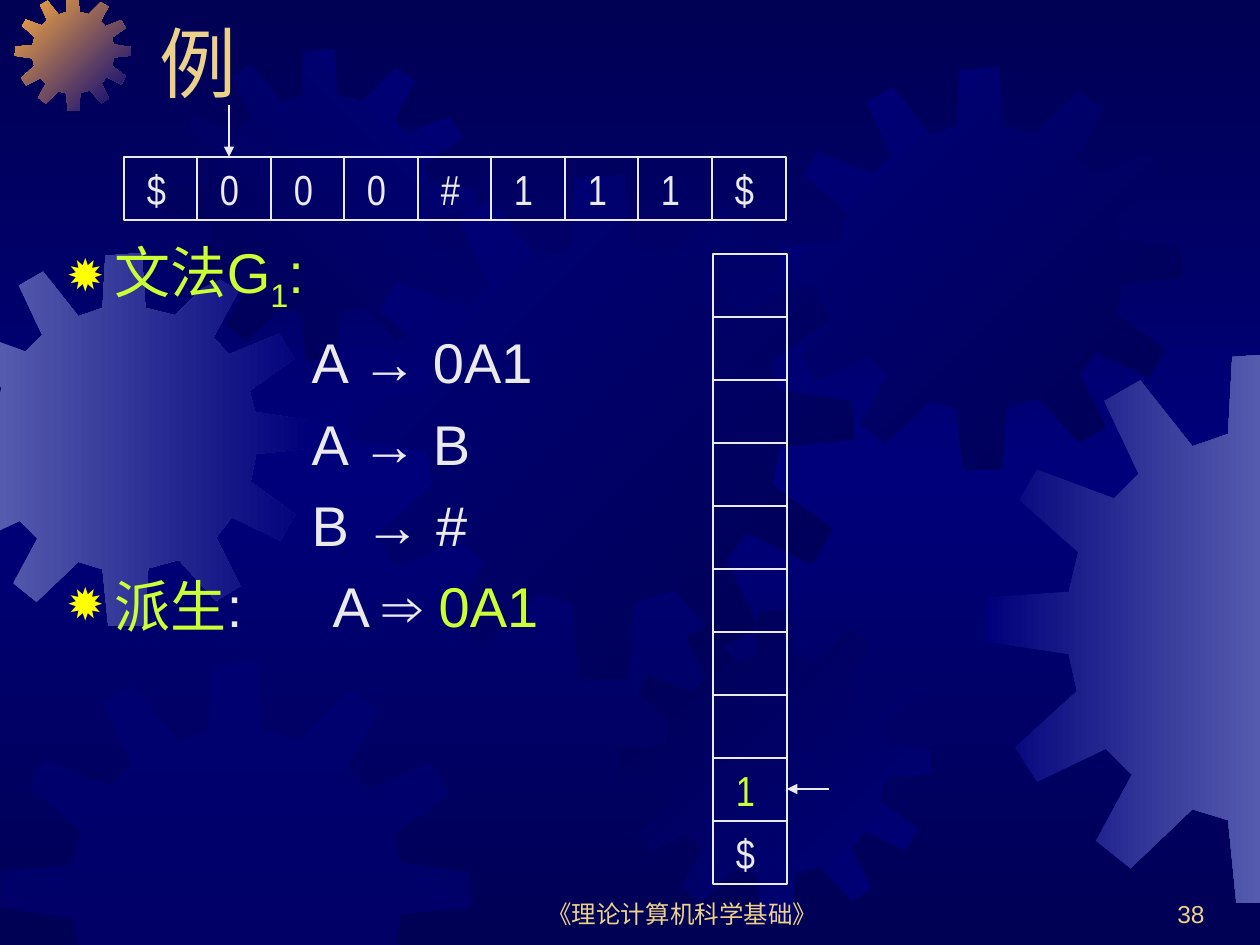
import copy

import pptx
import pptx.util
from pptx.dml.color import RGBColor
from pptx.enum.shapes import MSO_CONNECTOR, MSO_SHAPE
from pptx.enum.text import MSO_ANCHOR, MSO_AUTO_SIZE, PP_ALIGN
from pptx.oxml.ns import qn
from pptx.oxml.xmlchemy import OxmlElement

PX = 914400 / 126
WIDTH, HEIGHT = 1260, 945

NAVY = RGBColor(0x00, 0x00, 0x54)
BLUE = RGBColor(0x00, 0x00, 0x7A)
LILAC = RGBColor(0x55, 0x5B, 0xAD)
ORANGE = RGBColor(0xFC, 0xAB, 0x40)
SAND = RGBColor(0xEB, 0xD1, 0x89)
PALE = RGBColor(0xEA, 0xEA, 0xEA)
LIME = RGBColor(0xCC, 0xFF, 0x33)

# Outline of one gear in a square of GEAR_UNIT by GEAR_UNIT
GEAR_UNIT = 401
GEAR = [
    (255, 67), (223, 59), (219, 0), (180, 3), (177, 59), (151, 68), (113, 20), (87, 35),
    (112, 88), (94, 106), (38, 85), (25, 107), (68, 145), (61, 174), (1, 178), (0, 210),
    (61, 219), (67, 246), (22, 287), (38, 312), (88, 288), (107, 307), (81, 355), (106, 375),
    (151, 332), (177, 340), (183, 400), (222, 401), (226, 339), (259, 330), (299, 374),
    (325, 358), (299, 306), (316, 284), (368, 309), (384, 281), (336, 246), (342, 216),
    (401, 210), (400, 180), (341, 171), (335, 148), (383, 114), (367, 87), (313, 109),
    (296, 91), (323, 41), (297, 25),
]
# left, top, size, gradient colours, clockwise angle
GEARS = [
    (-62, 253, 373, (LILAC, BLUE), 0),
    (15, -5, 116, (ORANGE, BLUE), 45),
    (164, 49, 312, (NAVY, BLUE), 315),
    (349, 175, 505, (BLUE, NAVY), 45),
    (0, 661, 471, (BLUE,), 0),
    (619, 610, 312, (NAVY, BLUE), 45),
    (779, 67, 403, (BLUE, NAVY), 45),
    (985, 353, 551, (BLUE, LILAC), 0),
]


def px(n):
    return pptx.util.Emu(round(n * PX))


def add_run(p, text, size=32, color=PALE, font="Arial", baseline=0):
    r = p.add_run()
    r.text = text
    r.font.size = pptx.util.Pt(size)
    r.font.name = font
    r.font.color.rgb = color
    if baseline:
        r._r.get_or_add_rPr().set("baseline", str(baseline * 1000))


def add_xml(parent, tag, **attrs):
    el = OxmlElement(tag)
    for name, value in attrs.items():
        el.set(name, str(value))
    parent.append(el)
    return el


def place(sp, left, top, width, height):
    sp.left, sp.top, sp.width, sp.height = map(px, (left, top, width, height))


def set_gradient(fill, owner, colors, angle):
    """Spread the colours evenly; the angle runs clockwise."""
    fill.gradient()
    stops = owner.find(".//" + qn("a:gsLst"))
    for _ in colors[2:]:
        stops.append(copy.deepcopy(stops[-1]))
    for i, (stop, color) in enumerate(zip(fill.gradient_stops, colors)):
        stop.position = i / (len(colors) - 1)
        stop.color.rgb = color
    fill.gradient_angle = (360 - angle) % 360


def clip(points, axis, limit, sign):
    """Keep the part of a polygon on one side of an upright or level line."""
    kept = []
    for a, b in zip(points, points[1:] + points[:1]):
        a_in, b_in = (sign * (pt[axis] - limit) >= 0 for pt in (a, b))
        if a_in:
            kept.append(a)
        if a_in != b_in:
            t = (limit - a[axis]) / (b[axis] - a[axis])
            kept.append(tuple(u + t * (v - u) for u, v in zip(a, b)))
    return kept


def add_gear(s, left, top, size, colors, angle):
    k = size / GEAR_UNIT
    points = [(left + x * k, top + y * k) for x, y in GEAR]
    for axis, limit, sign in ((0, 0, 1), (0, WIDTH, -1), (1, 0, 1), (1, HEIGHT, -1)):
        points = clip(points, axis, limit, sign)
    points = [(px(x), px(y)) for x, y in points]
    builder = s.shapes.build_freeform(*points[0], scale=1.0)
    builder.add_line_segments(points[1:], close=True)
    sp = builder.convert_to_shape()
    sp.shadow.inherit = False
    sp.line.fill.background()
    if len(colors) > 1:
        set_gradient(sp.fill, sp._element, colors, angle)
    else:
        sp.fill.solid()
        sp.fill.fore_color.rgb = colors[0]
        add_xml(sp._element.find(".//" + qn("a:srgbClr")), "a:alpha", val=50000)


def add_cell(group, left, top, width, height, text="", color=PALE):
    sp = group.shapes.add_shape(MSO_SHAPE.RECTANGLE, *map(px, (left, top, width, height)))
    sp.shadow.inherit = False
    sp.fill.background()
    sp.line.color.rgb = PALE
    sp.line.width = pptx.util.Pt(0.75)
    if text:
        tf = sp.text_frame
        tf.margin_left, tf.margin_right = px(23), 0
        tf.vertical_anchor = MSO_ANCHOR.MIDDLE
        tf.paragraphs[0].alignment = PP_ALIGN.LEFT
        add_run(tf.paragraphs[0], text, size=24, color=color, font="Arial Narrow")


def add_arrow(group, x1, y1, x2, y2):
    line = group.shapes.add_connector(MSO_CONNECTOR.STRAIGHT, *map(px, (x1, y1, x2, y2)))
    line.line.color.rgb = PALE
    line.line.width = pptx.util.Pt(0.75)
    add_xml(line.line._get_or_add_ln(), "a:tailEnd", type="triangle")
    add_xml(line._element.spPr, "a:effectLst")


def add_tape(s, left, top, width, height, symbols, head):
    """Row of cells with the reading head above the cell numbered head."""
    group = s.shapes.add_group_shape()
    edges = [left + width * i // len(symbols) for i in range(len(symbols) + 1)]
    for x, right, symbol in zip(edges, edges[1:], symbols):
        add_cell(group, x, top, right - x, height, symbol)
    x = edges[head] + 32
    add_arrow(group, x, top - 52, x, top)


def add_stack(s, left, top, width, height, count, symbols):
    """Column of cells; symbols fill it from the bottom up, the last one on top."""
    group = s.shapes.add_group_shape()
    step = height // count
    for i in range(count):
        level = count - 1 - i
        text, color = symbols[level] if level < len(symbols) else ("", PALE)
        add_cell(group, left, top + i * step, width, step, text, color)
    y = top + (count - len(symbols)) * step + step // 2
    add_arrow(group, left + width + 42, y, left + width, y)


def add_title(sp, left, top, width, height, text):
    place(sp, left, top, width, height)
    tf = sp.text_frame
    tf.auto_size = MSO_AUTO_SIZE.NONE
    tf.vertical_anchor = MSO_ANCHOR.BOTTOM
    tf.paragraphs[0].alignment = PP_ALIGN.LEFT
    add_run(tf.paragraphs[0], text, size=44, color=SAND)


def format_item(p, bullet, indent, tab=None):
    pPr = p._p.get_or_add_pPr()
    pPr.set("marL", str(px(indent)))
    pPr.set("indent", str(px(-indent if bullet else 0)))
    if bullet:
        add_xml(add_xml(pPr, "a:buClr"), "a:srgbClr", val="FFFF00")
        add_xml(pPr, "a:buSzPct", val=80000)
        add_xml(pPr, "a:buChar", char="✹")
    else:
        add_xml(pPr, "a:buNone")
    if tab:
        add_xml(add_xml(pPr, "a:tabLst"), "a:tab", pos=px(tab), algn="l")


def add_grammar(sp, left, top, width, height):
    place(sp, left, top, width, height)
    tf = sp.text_frame
    tf.auto_size = MSO_AUTO_SIZE.NONE
    p = tf.paragraphs[0]
    format_item(p, True, 48)
    p.space_before = 0
    add_run(p, "文法G", color=LIME)
    add_run(p, "1", color=LIME, baseline=-25)
    add_run(p, ":", color=LIME)
    for rule in ("A → 0A1", "A → B", "B → #"):
        p = tf.add_paragraph()
        format_item(p, False, 245)
        p.space_before = pptx.util.Pt(8)
        add_run(p, rule)
    p = tf.add_paragraph()
    format_item(p, True, 48, tab=266)
    p.space_before = pptx.util.Pt(8)
    add_run(p, "派生", color=LIME)
    add_run(p, ":\tA ⇒ ")
    add_run(p, "0A1", color=LIME)


def add_footer(s, left, top, width, height, text, align):
    tf = s.shapes.add_textbox(*map(px, (left, top, width, height))).text_frame
    tf.word_wrap = True
    tf.vertical_anchor = MSO_ANCHOR.BOTTOM
    tf.paragraphs[0].alignment = align
    add_run(tf.paragraphs[0], text, size=14, color=SAND)


def main():
    prs = pptx.Presentation()
    prs.slide_width, prs.slide_height = px(WIDTH), px(HEIGHT)
    s = prs.slides.add_slide(prs.slide_layouts[1])
    title, body = s.placeholders
    set_gradient(s.background.fill, s._element, (NAVY, BLUE, NAVY), 90)
    for gear in GEARS:
        add_gear(s, *gear)
    for sp in (title, body):  # bring the text in front of the gears
        s.shapes._spTree.append(sp._element)
    add_title(title, 147, -44, 1071, 158, "例")
    add_grammar(body, 54, 231, 722, 640)
    add_tape(s, 124, 157, 662, 63, "$000#111$", head=1)
    add_stack(s, 713, 254, 74, 630, 10, [("$", PALE), ("1", LIME)])
    add_footer(s, 483, 872, 399, 63, "《理论计算机科学基础》", PP_ALIGN.CENTER)
    add_footer(s, 955, 872, 262, 63, "38", PP_ALIGN.RIGHT)
    prs.save("out.pptx")


if __name__ == "__main__":
    main()
